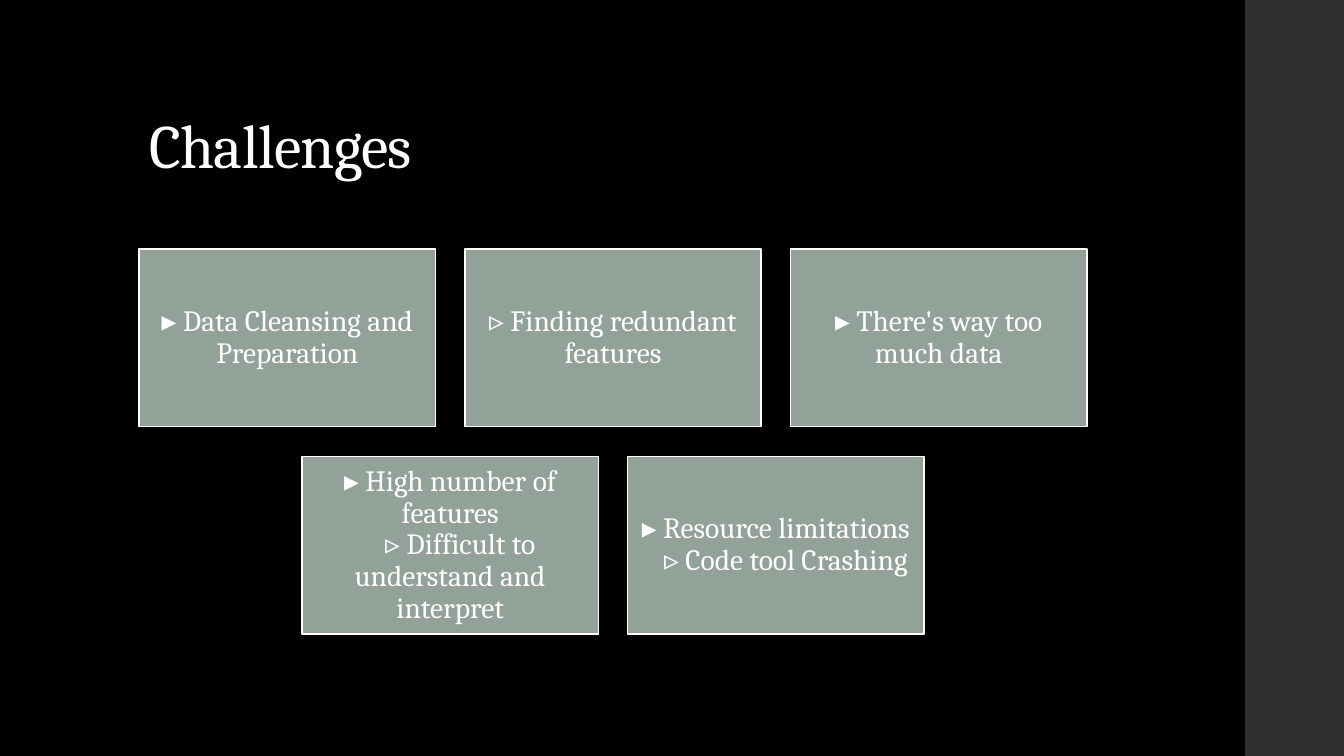
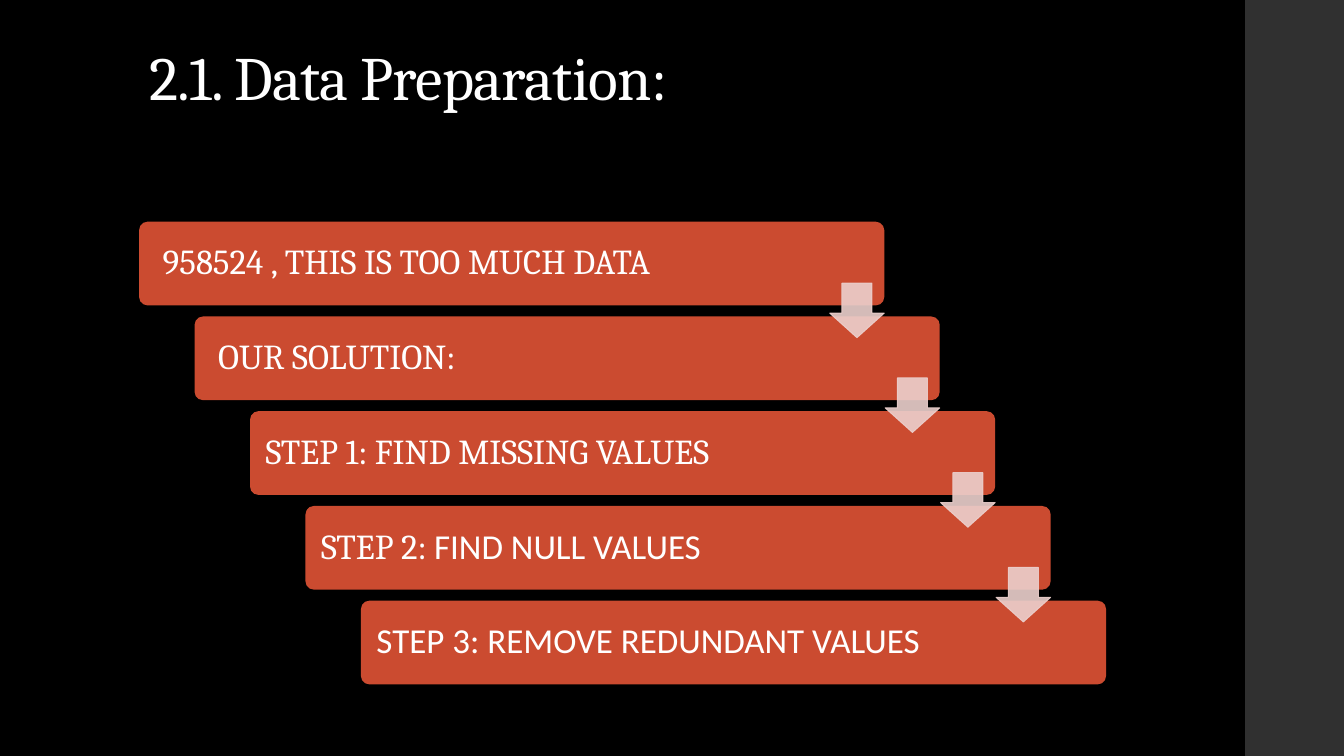
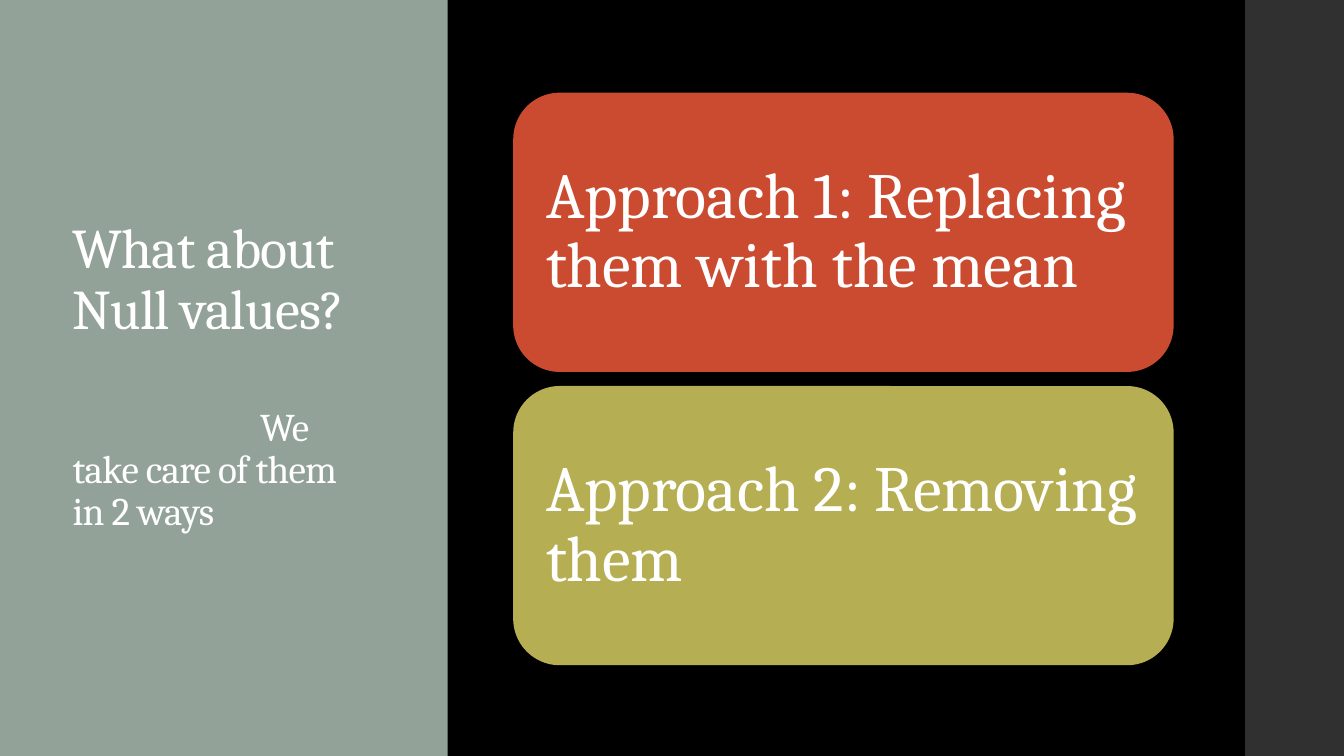
from dataclasses import dataclass

from lxml import etree
from pptx import Presentation
from pptx.dml.color import RGBColor
from pptx.enum import shapes, text
from pptx.oxml import ns
from pptx.util import Inches, Pt

BLACK = RGBColor(0x00, 0x00, 0x00)
WHITE = RGBColor(0xFF, 0xFF, 0xFF)
CHARCOAL = RGBColor(0x30, 0x30, 0x30)
SAGE = RGBColor(0x93, 0xA2, 0x99)
RUST = RGBColor(0xCB, 0x4B, 0x30)
OLIVE = RGBColor(0xB5, 0xAE, 0x53)
BLUSH = RGBColor(0xEC, 0xD0, 0xCD)

SERIF = "Cambria"
SANS = "Calibri"
SLIDE_W, SLIDE_H = 13.33, 7.5
SIDEBAR_LEFT = 12.35
TITLE_LEFT, TITLE_TOP, TITLE_W = 1.38, 0.4, 10.6


@dataclass(frozen=True)
class Box:
    left: float
    top: float
    width: float
    height: float


@dataclass(frozen=True)
class Span:
    text: str
    face: str = SERIF


@dataclass(frozen=True)
class Line:
    spans: tuple[Span, ...]
    size: float
    indent: float = 0
    space_before: float = 0


@dataclass(frozen=True)
class Step:
    spans: tuple[Span, ...]
    inset: float = 0.13


@dataclass(frozen=True)
class Approach:
    wording: str
    color: RGBColor


CHALLENGES = (
    (
        ("▸ Data Cleansing and Preparation",),
        ("▹ Finding redundant features",),
        ("▸ There's way too much data",),
    ),
    (
        ("▸ High number of features", "▹ Difficult to understand and interpret"),
        ("▸ Resource limitations", "▹ Code tool Crashing"),
    ),
)
STEPS = (
    Step((Span("958524 , THIS IS TOO MUCH DATA"),), 0.21),
    Step((Span("OUR SOLUTION:"),), 0.21),
    Step((Span("STEP 1: FIND MISSING VALUES"),)),
    Step((Span("STEP 2: "), Span("FIND NULL VALUES", SANS))),
    Step((Span("STEP 3: REMOVE REDUNDANT VALUES", SANS),)),
)
APPROACHES = (
    Approach("Approach 1: Replacing them with the mean", RUST),
    Approach("Approach 2: Removing them", OLIVE),
)


def write(frame, lines, align=text.PP_ALIGN.LEFT, tracking=0) -> None:
    frame.word_wrap = True
    frame.auto_size = text.MSO_AUTO_SIZE.NONE
    for index, line in enumerate(lines):
        paragraph = frame.add_paragraph() if index else frame.paragraphs[0]
        paragraph.alignment = align
        paragraph.line_spacing = 0.9
        paragraph.space_before = Pt(line.space_before)
        if line.indent:
            properties = paragraph._p.get_or_add_pPr()
            properties.set("marL", "0")
            properties.set("indent", str(Inches(line.indent)))
        for span in line.spans:
            run = paragraph.add_run()
            run.text = span.text
            run.font.name = span.face
            run.font.size = Pt(line.size)
            run.font.color.rgb = WHITE
            if tracking:
                run._r.get_or_add_rPr().set("spc", str(tracking))


def add_block(slide, kind, box: Box, color: RGBColor):
    block = slide.shapes.add_shape(
        kind, Inches(box.left), Inches(box.top), Inches(box.width), Inches(box.height)
    )
    block.shadow.inherit = False
    block.fill.solid()
    block.fill.fore_color.rgb = color
    block.line.fill.background()
    return block


def set_insets(frame, left: float, right: float, vertical: float) -> None:
    frame.margin_left, frame.margin_right = Inches(left), Inches(right)
    frame.margin_top = frame.margin_bottom = Inches(vertical)
    frame.vertical_anchor = text.MSO_ANCHOR.MIDDLE


def add_panel(slide, box: Box, color: RGBColor) -> None:
    panel = add_block(slide, shapes.MSO_SHAPE.RECTANGLE, box, color)
    slide.shapes.title._element.addprevious(panel._element)


def add_titled_slide(deck, lines, box: Box, anchor=text.MSO_ANCHOR.BOTTOM):
    slide = deck.slides.add_slide(deck.slide_layouts[5])
    slide.background.fill.solid()
    slide.background.fill.fore_color.rgb = BLACK
    add_panel(slide, Box(SIDEBAR_LEFT, 0, SLIDE_W - SIDEBAR_LEFT, SLIDE_H), CHARCOAL)
    title = slide.shapes.title
    title.left, title.top = Inches(box.left), Inches(box.top)
    title.width, title.height = Inches(box.width), Inches(box.height)
    title.text_frame.vertical_anchor = anchor
    write(title.text_frame, lines, tracking=-50)
    return slide


def build_challenges(deck) -> None:
    slide = add_titled_slide(
        deck, [Line((Span("Challenges"),), 44)], Box(TITLE_LEFT, TITLE_TOP, TITLE_W, 1.45)
    )
    width, height, gap, center = 2.94, 1.76, 0.29, 6.08
    for row, cards in enumerate(CHALLENGES):
        left = center - (len(cards) * (width + gap) - gap) / 2
        top = 2.47 + row * (height + 0.3)
        for column, points in enumerate(cards):
            box = Box(left + column * (width + gap), top, width, height)
            card = add_block(slide, shapes.MSO_SHAPE.RECTANGLE, box, SAGE)
            card.line.color.rgb = WHITE
            card.line.width = Pt(1.1)
            set_insets(card.text_frame, 0.09, 0.09, 0.09)
            lines = [
                Line((Span(point),), 21, indent=0.2 if index else 0)
                for index, point in enumerate(points)
            ]
            write(card.text_frame, lines, text.PP_ALIGN.CENTER)


def build_preparation(deck) -> None:
    slide = add_titled_slide(
        deck,
        [Line((Span("2.1. Data Preparation:"),), 44)],
        Box(TITLE_LEFT, TITLE_TOP, TITLE_W, 0.78),
    )
    boxes = [Box(1.38 + 0.55 * i, 2.2 + 0.94 * i, 7.39, 0.83) for i in range(len(STEPS))]
    for step, box in zip(STEPS, boxes):
        bar = add_block(slide, shapes.MSO_SHAPE.ROUNDED_RECTANGLE, box, RUST)
        bar.adjustments[0] = 0.1
        set_insets(bar.text_frame, step.inset, 0.1, 0.1)
        write(bar.text_frame, [Line(step.spans, 25)])
    side = 0.54
    for box in boxes[:-1]:
        place = Box(box.left + box.width - side, box.top + 0.61, side, side)
        arrow = add_block(slide, shapes.MSO_SHAPE.DOWN_ARROW, place, BLUSH)
        arrow.adjustments[0], arrow.adjustments[1] = 0.55, 0.45
        arrow.line.color.rgb = BLUSH
        arrow.line.width = Pt(0.75)
        for color in arrow._element.spPr.iter(ns.qn("a:srgbClr")):
            etree.SubElement(color, ns.qn("a:alpha")).set("val", "90000")


def build_null_values(deck) -> None:
    slide = add_titled_slide(
        deck,
        [
            Line((Span("What about Null values?"),), 40),
            Line((Span("We take care of them in 2 ways"),), 28, indent=1.86, space_before=47),
        ],
        Box(0.62, 0.91, 2.97, 5.67),
        text.MSO_ANCHOR.MIDDLE,
    )
    add_panel(slide, Box(0, 0, 4.44, SLIDE_H), SAGE)
    for index, approach in enumerate(APPROACHES):
        box = Box(5.09, 0.92 + 2.91 * index, 6.55, 2.77)
        card = add_block(slide, shapes.MSO_SHAPE.ROUNDED_RECTANGLE, box, approach.color)
        set_insets(card.text_frame, 0.19, 0.1, 0.19)
        write(card.text_frame, [Line((Span(approach.wording),), 46)])


def main() -> None:
    deck = Presentation()
    deck.slide_width, deck.slide_height = Inches(SLIDE_W), Inches(SLIDE_H)
    build_challenges(deck)
    build_preparation(deck)
    build_null_values(deck)
    deck.save("out.pptx")


if __name__ == "__main__":
    main()
